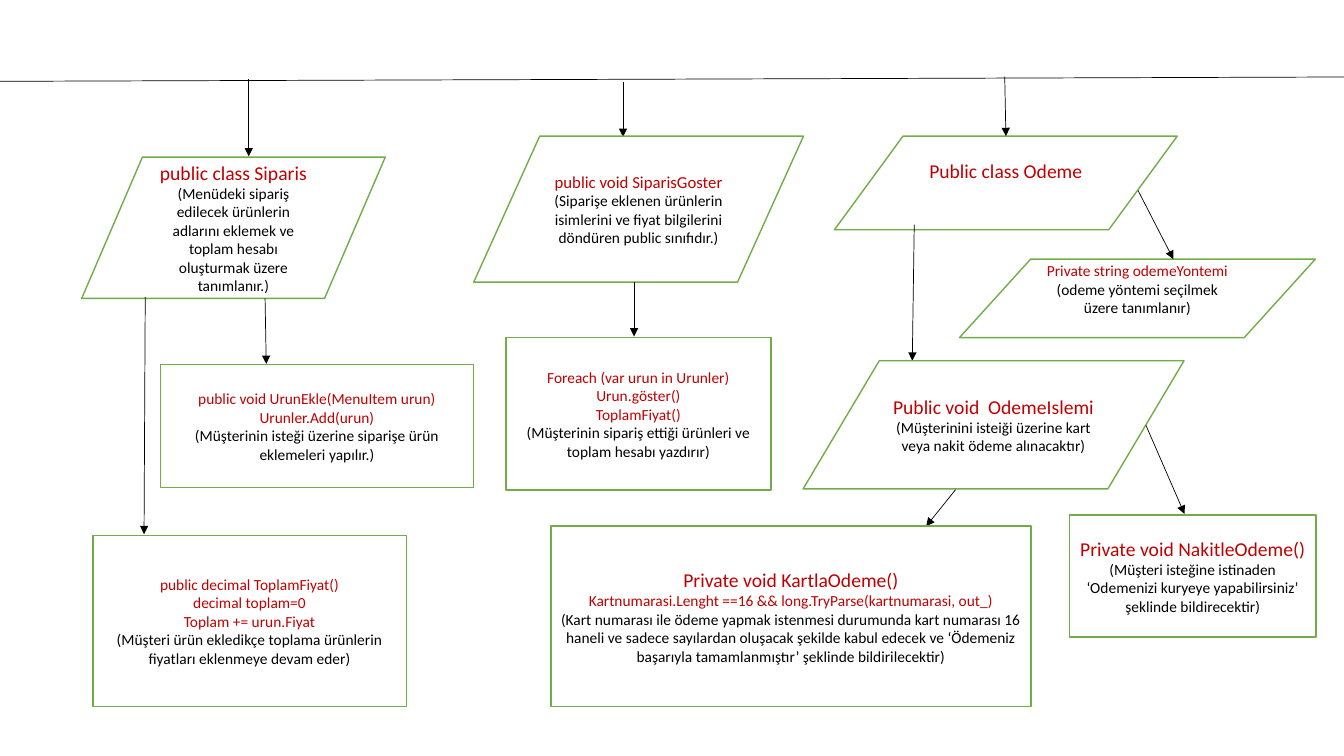
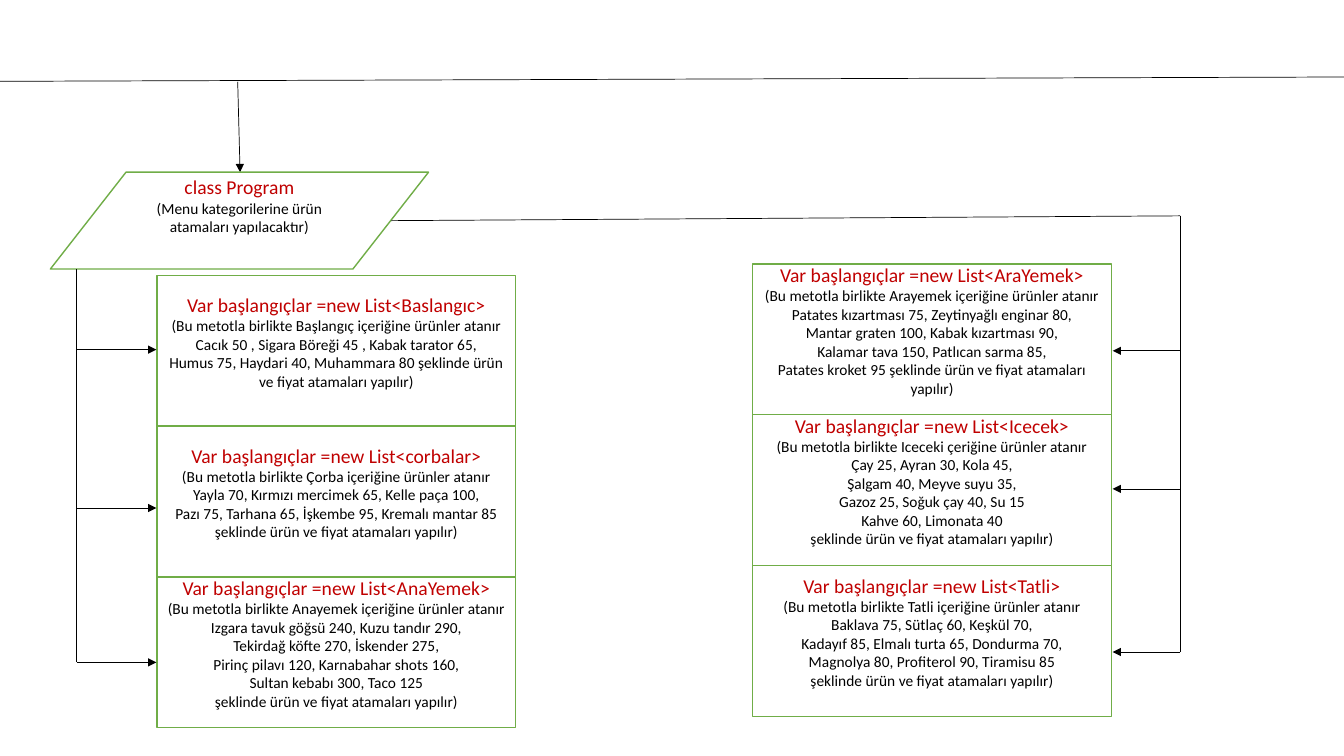
from dataclasses import dataclass

from lxml import etree
from pptx import Presentation
from pptx.dml.color import RGBColor
from pptx.enum.shapes import MSO_CONNECTOR, MSO_SHAPE
from pptx.enum.text import MSO_ANCHOR, PP_ALIGN
from pptx.oxml.ns import qn
from pptx.slide import Slide
from pptx.util import Cm, Pt

RECTANGLE = MSO_SHAPE.RECTANGLE
PARALLELOGRAM = MSO_SHAPE.FLOWCHART_DATA
STRAIGHT = MSO_CONNECTOR.STRAIGHT
CENTER = PP_ALIGN.CENTER
MIDDLE = MSO_ANCHOR.MIDDLE

FONT = "Calibri"
RED, BLACK, WHITE, GREEN = "C00000", "000000", "FFFFFF", "70AD47"
SLIDE_WIDTH, SLIDE_HEIGHT = 33.87, 19.05
AREA_TOP = 2
LIST_WIDTH, LIST_HEIGHT = 9.04, 3.8
ENDING = "şeklinde ürün ve fiyat atamaları yapılır)"


def color(value):
    return RGBColor.from_string(value)


@dataclass
class Area:
    """Part of a slide; its nodes and lines are placed in cm from its corner."""
    slide: Slide
    left: float = 0
    top: float = 0

    def line(self, start, end, arrow=True):
        points = [Cm(value) for x, y in (start, end)
                  for value in (self.left + x, self.top + y)]
        connector = self.slide.shapes.add_connector(STRAIGHT, *points)
        connector.line.color.rgb = color(BLACK)
        connector.line.width = Pt(0.5)
        if arrow:
            tail = etree.SubElement(connector.line._get_or_add_ln(), qn("a:tailEnd"))
            tail.set("type", "triangle")
        etree.SubElement(connector._element.spPr, qn("a:effectLst"))

    def node(self, kind, box, head, notes=(), code=(), head_size=14, lift=0):
        """Outlined shape: red heading and code, black notes; lift raises the text."""
        x, y, width, height = box
        shape = self.slide.shapes.add_shape(
            kind, Cm(self.left + x), Cm(self.top + y), Cm(width), Cm(height))
        shape.shadow.inherit = False
        shape.fill.solid()
        shape.fill.fore_color.rgb = color(WHITE)
        shape.line.color.rgb = color(GREEN)
        shape.line.width = Pt(1)

        frame = shape.text_frame
        frame.word_wrap = True
        frame.vertical_anchor = MIDDLE
        frame.margin_left = frame.margin_right = Cm(0.25)
        frame.margin_top = 0
        frame.margin_bottom = Cm(lift)
        lines = [(head, head_size, RED)]
        lines += [(text, 11, RED) for text in code]
        lines += [(text, 11, BLACK) for text in notes]
        for index, (text, size, text_color) in enumerate(lines):
            paragraph = frame.add_paragraph() if index else frame.paragraphs[0]
            paragraph.alignment = CENTER
            run = paragraph.add_run()
            run.text = text
            run.font.name = FONT
            run.font.size = Pt(size)
            run.font.color.rgb = color(text_color)


def add_flow_slide(presentation):
    """Blank slide with the main flow line across its top."""
    slide = presentation.slides.add_slide(presentation.slide_layouts[6])
    Area(slide).line((0, 2.05), (SLIDE_WIDTH, 1.94), arrow=False)
    return slide


def add_order(area):
    area.line((4.21, 0), (4.21, 1.94))
    area.node(PARALLELOGRAM, (0, 1.96, 7.65, 3.56), "public class Siparis",
              ["(Menüdeki sipariş edilecek ürünlerin adlarını eklemek ve "
               "toplam hesabı oluşturmak üzere tanımlanır.)"])
    area.line((1.6, 5.49), (1.57, 11.46))
    area.line((4.62, 5.52), (4.65, 7.17))
    area.node(RECTANGLE, (1.98, 7.19, 7.9, 3.1),
              "public void UrunEkle(MenuItem urun)",
              ["(Müşterinin isteği üzerine siparişe ürün eklemeleri yapılır.)"],
              code=["Urunler.Add(urun)"], head_size=11)
    area.node(RECTANGLE, (0.28, 11.49, 7.9, 4.32),
              "public decimal ToplamFiyat()",
              ["(Müşteri ürün ekledikçe toplama ürünlerin fiyatları "
               "eklenmeye devam eder)"],
              code=["decimal toplam=0", "Toplam += urun.Fiyat"], head_size=11)


def add_order_display(area):
    area.line((3.76, 0.06), (3.76, 1.45))
    area.node(PARALLELOGRAM, (0, 1.43, 8.31, 3.68), "public void SiparisGoster",
              ["(Siparişe eklenen ürünlerin isimlerini ve fiyat bilgilerini "
               "döndüren public sınıfıdır.)"], head_size=12)
    area.line((4.04, 5.11), (4.04, 6.48))
    area.node(RECTANGLE, (0.81, 6.51, 6.68, 3.84),
              "Foreach (var urun in Urunler)",
              ["(Müşterinin sipariş ettiği ürünleri ve toplam hesabı yazdırır)"],
              code=["Urun.göster()", "ToplamFiyat()"], head_size=11)


def add_payment(area):
    area.node(PARALLELOGRAM, (7.14, 1.43, 8.64, 2.36), "Public class Odeme", lift=0.6)
    area.line((11.43, -0.07), (11.46, 1.43))
    area.node(PARALLELOGRAM, (10.29, 4.53, 8.97, 1.98), "Private string odemeYontemi",
              ["(odeme yöntemi seçilmek üzere tanımlanır)"], head_size=11, lift=0.47)
    area.line((14.79, 2.8), (15.68, 4.53))
    area.line((9.15, 3.66), (9.1, 7.09))
    area.node(PARALLELOGRAM, (6.35, 7.09, 9.6, 3.23), "Public void  OdemeIslemi",
              ["(Müşterinini isteiği üzerine kart veya nakit ödeme alınacaktır)"])
    area.line((14.99, 8.72), (15.96, 10.95))
    area.node(RECTANGLE, (13.06, 10.98, 6.22, 3.07), "Private void NakitleOdeme()",
              ["(Müşteri isteğine istinaden ‘Odemenizi kuryeye yapabilirsiniz’ "
               "şeklinde bildirecektir)"])
    area.line((10.19, 10.34), (9.45, 11.26))
    area.node(RECTANGLE, (0, 11.26, 12.09, 4.55), "Private void KartlaOdeme()",
              ["(Kart numarası ile ödeme yapmak istenmesi durumunda kart numarası "
               "16 haneli ve sadece sayılardan oluşacak şekilde kabul edecek ve "
               "‘Ödemeniz başarıyla tamamlanmıştır’ şeklinde bildirilecektir)"],
              code=["Kartnumarasi.Lenght ==16 && long.TryParse(kartnumarasi, out_)"])


def add_program(area):
    area.line((4.72, 0.06), (4.78, 2.34))
    area.node(PARALLELOGRAM, (0, 2.34, 9.53, 2.44), "class Program",
              ["(Menu kategorilerine ürün atamaları yapılacaktır)"], lift=0.77)
    area.line((8.59, 3.56), (28.47, 3.44), arrow=False)


def add_menu_lists(area, menus, trunk, tip, arrow_heights):
    """Stack of menu lists, fed by arrows from the vertical trunk (x, top)."""
    trunk_x, trunk_top = trunk
    area.line((trunk_x, trunk_top), (trunk_x, arrow_heights[-1]), arrow=False)
    for index, (list_type, content, items) in enumerate(menus):
        area.node(RECTANGLE, (0, index * LIST_HEIGHT, LIST_WIDTH, LIST_HEIGHT),
                  f"Var başlangıçlar =new List<{list_type}>",
                  [f"(Bu metotla birlikte {content} içeriğine ürünler atanır"
                   if content != "Iceceki" else
                   "(Bu metotla birlikte Iceceki çeriğine ürünler atanır", *items],
                  lift=0.47)
    for height in arrow_heights:
        area.line((trunk_x, height), (tip, height))


LEFT_MENUS = [
    ("Baslangıc", "Başlangıç", [
        "Cacık 50 , Sigara Böreği 45 , Kabak tarator 65,",
        f"Humus 75, Haydari 40, Muhammara 80 {ENDING}"]),
    ("corbalar", "Çorba", [
        "Yayla 70, Kırmızı mercimek 65, Kelle paça 100,",
        f"Pazı 75, Tarhana 65, İşkembe 95, Kremalı mantar 85 {ENDING}"]),
    ("AnaYemek", "Anayemek", [
        "Izgara tavuk göğsü 240, Kuzu tandır 290,",
        "Tekirdağ köfte 270, İskender 275,",
        "Pirinç pilavı 120, Karnabahar shots 160,",
        "Sultan kebabı 300, Taco 125", ENDING]),
]
RIGHT_MENUS = [
    ("AraYemek", "Arayemek", [
        "Patates kızartması 75, Zeytinyağlı enginar 80,",
        "Mantar graten 100, Kabak kızartması 90,",
        "Kalamar tava 150, Patlıcan sarma 85,",
        f"Patates kroket 95 {ENDING}"]),
    ("Icecek", "Iceceki", [
        "Çay 25, Ayran 30, Kola 45,",
        "Şalgam 40, Meyve suyu 35,",
        "Gazoz 25, Soğuk çay 40, Su 15",
        "Kahve 60, Limonata 40", ENDING]),
    ("Tatli", "Tatli", [
        "Baklava 75, Sütlaç 60, Keşkül 70,",
        "Kadayıf 85, Elmalı turta 65, Dondurma 70,",
        "Magnolya 80, Profiterol 90, Tiramisu 85", ENDING]),
]


def main():
    presentation = Presentation()
    presentation.slide_width = Cm(SLIDE_WIDTH)
    presentation.slide_height = Cm(SLIDE_HEIGHT)

    classes = add_flow_slide(presentation)
    add_order(Area(classes, 2.06, AREA_TOP))
    add_order_display(Area(classes, 11.94, AREA_TOP))
    add_payment(Area(classes, 13.89, AREA_TOP))

    program = add_flow_slide(presentation)
    add_program(Area(program, 1.27, AREA_TOP))
    add_menu_lists(Area(program, 3.96, 6.94), LEFT_MENUS,
                   trunk=(-2.03, -0.16), tip=-0.02, arrow_heights=(1.87, 5.86, 9.75))
    add_menu_lists(Area(program, 18.97, 6.65), RIGHT_MENUS,
                   trunk=(10.77, -1.21), tip=9.07, arrow_heights=(2.19, 5.67, 9.78))

    presentation.save("out.pptx")


if __name__ == "__main__":
    main()
